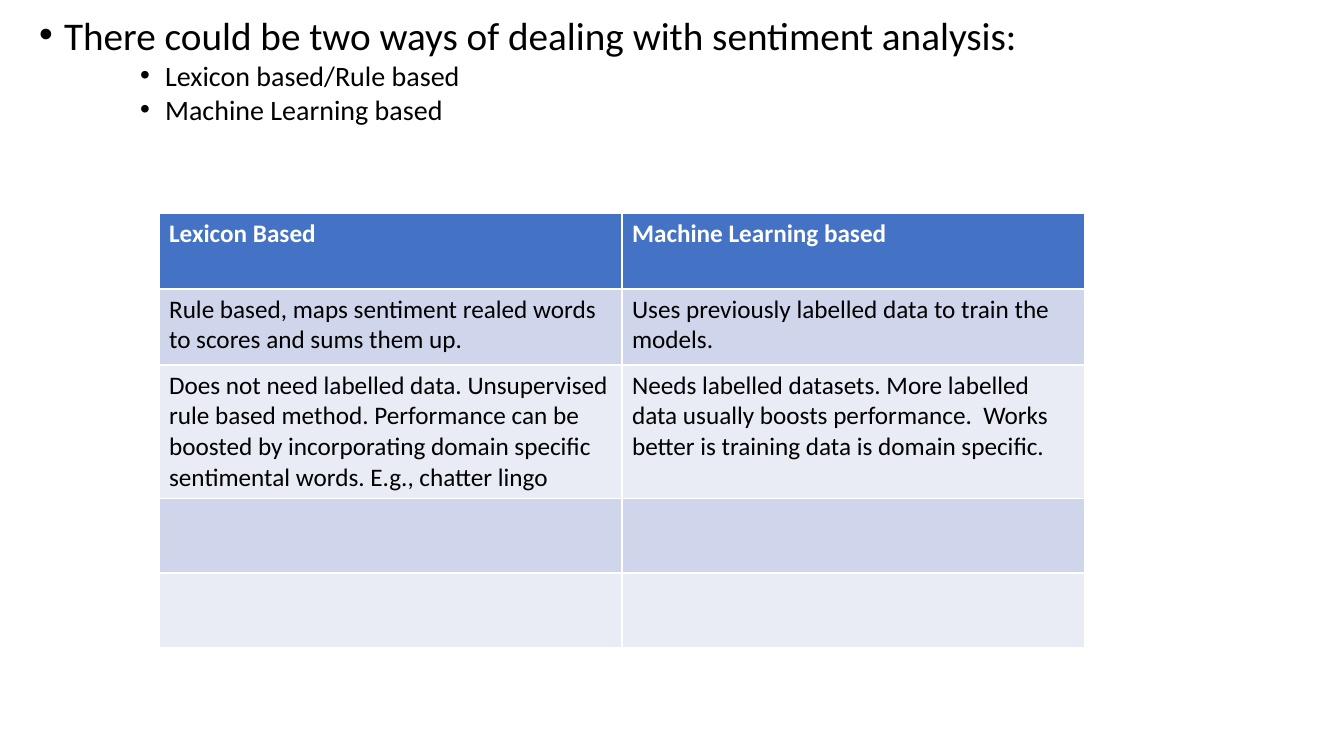
from pptx import Presentation
from pptx.dml.color import RGBColor
from pptx.enum.text import MSO_ANCHOR, MSO_AUTO_SIZE, PP_ALIGN
from pptx.util import Pt

EMU_PER_PX = 914400 / 100.8


def px(length):
    return round(length * EMU_PER_PX)


def add_run(paragraph, text, size, color, bold=False):
    run = paragraph.add_run()
    run.text = text
    run.font.name = "Calibri"
    run.font.size = Pt(size)
    run.font.bold = bold
    run.font.color.rgb = RGBColor.from_string(color)


presentation = Presentation()
presentation.slide_width = px(1344)
presentation.slide_height = px(756)
slide = presentation.slides.add_slide(presentation.slide_layouts[1])
title = slide.shapes.title
title.element.getparent().remove(title.element)

# Bulleted introduction
body = slide.placeholders[1]
body.left, body.top, body.width, body.height = px(29), px(15), px(1159), px(125)
text_frame = body.text_frame
text_frame.word_wrap = True
text_frame.auto_size = MSO_AUTO_SIZE.NONE
text_frame.vertical_anchor = MSO_ANCHOR.TOP

# text, level, size, left margin, space before
bullets = [
    ("There could be two ways of dealing with sentiment analysis:", 0, 28, 25, 10),
    ("Lexicon based/Rule based", 2, 20, 126, 5),
    ("Machine Learning based", 2, 20, 126, 5),
]
for index, (text, level, size, margin, space_before) in enumerate(bullets):
    paragraph = text_frame.add_paragraph() if index else text_frame.paragraphs[0]
    paragraph.level = level
    paragraph.alignment = PP_ALIGN.LEFT
    paragraph.line_spacing = 0.8
    paragraph.space_before = Pt(space_before)
    properties = paragraph._p.get_or_add_pPr()
    properties.set("marL", str(px(margin)))
    properties.set("indent", str(px(-25)))
    add_run(paragraph, text, size, "000000")

# Comparison table; the default table style draws its white rules
rows = [
    ("Lexicon Based", "Machine Learning based"),
    ("Rule based, maps sentiment realed words to scores and sums them up.",
     "Uses previously labelled data to train the models."),
    ("Does not need labelled data. Unsupervised rule based method. Performance can be "
     "boosted by incorporating domain specific sentimental words. E.g., chatter lingo",
     "Needs labelled datasets. More labelled data usually boosts performance.  "
     "Works better is training data is domain specific."),
    ("", ""),
    ("", ""),
]
row_heights = [76, 76, 133, 75, 75]
row_fills = ["4472C4", "CFD5EA", "E9EBF5", "CFD5EA", "E9EBF5"]

table = slide.shapes.add_table(
    len(rows), 2, px(159), px(213), px(926), px(sum(row_heights))).table
for row_index, texts in enumerate(rows):
    table.rows[row_index].height = px(row_heights[row_index])
    is_header = row_index == 0
    for column_index, text in enumerate(texts):
        cell = table.cell(row_index, column_index)
        cell.fill.solid()
        cell.fill.fore_color.rgb = RGBColor.from_string(row_fills[row_index])
        if text:
            add_run(cell.text_frame.paragraphs[0], text, 18,
                    "FFFFFF" if is_header else "000000", is_header)

presentation.save("out.pptx")
